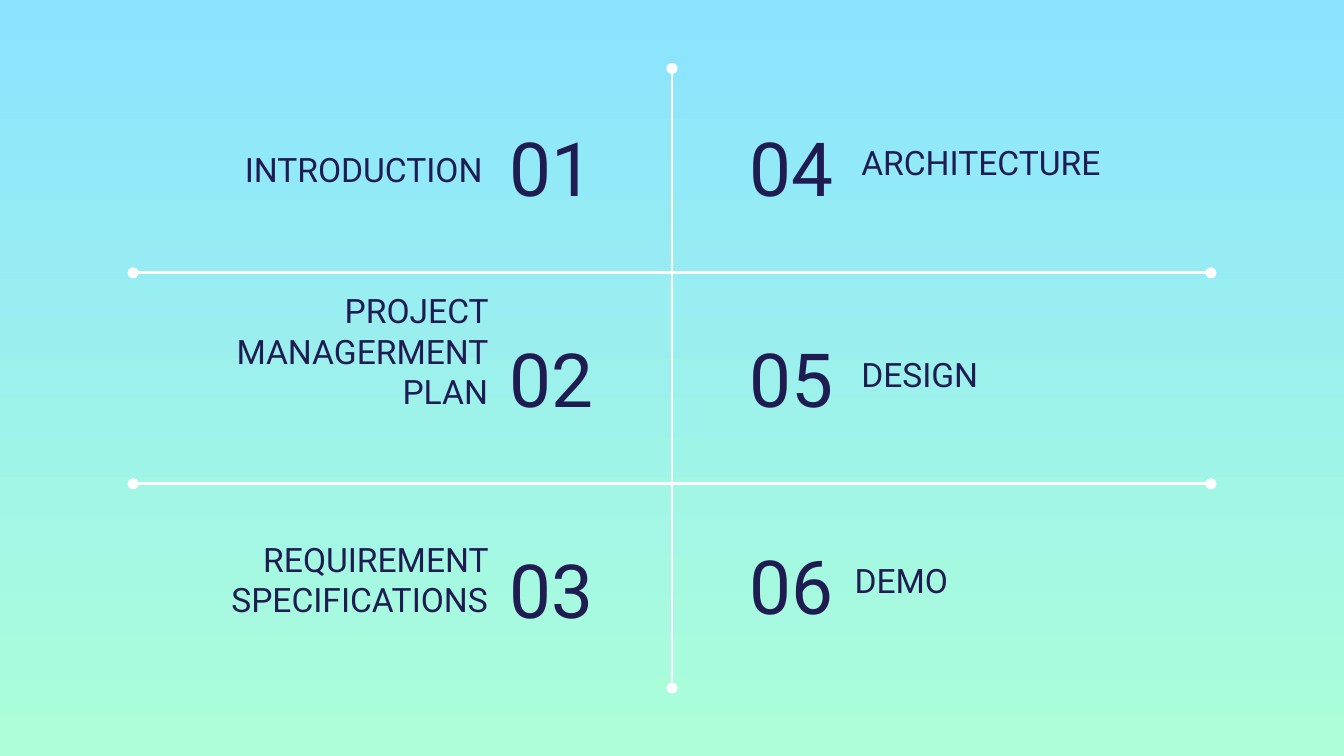
import pptx
import pptx.util
import pptx.dml.color
import pptx.enum.shapes
import pptx.enum.text
import pptx.oxml.ns
import lxml.etree
from dataclasses import dataclass
from typing import Any

Pt = pptx.util.Pt
Color = pptx.dml.color.RGBColor
Align = pptx.enum.text.PP_ALIGN
Anchor = pptx.enum.text.MSO_ANCHOR

NAVY = Color(0x1F, 0x1C, 0x51)
WHITE = Color(0xFF, 0xFF, 0xFF)
SKY = Color(0x8B, 0xE3, 0xFF)
MINT = Color(0xAC, 0xFF, 0xD9)

WIDTH, HEIGHT = 720, 405
MID = WIDTH / 2
TOP, PITCH = 58.3, 113  # first number's top, distance between rows
NUM_W, NUM_H = 93.6, 62
LABEL_H = 36
EDGE = 71.3  # side margin of the horizontal rules


@dataclass
class Topic:
    label: str
    left: float
    top: float
    width: float
    shift: float = 0  # vertical nudge of the number


TOPICS = [
    Topic("INTRODUCTION", 51.1, 72.7, 214.6),
    Topic("PROJECT MANAGERMENT PLAN", 71.3, 191.5, 197.3),
    Topic("REQUIREMENT SPECIFICATIONS", 34.6, 303.1, 234),
    Topic("ARCHITECTURE", 454.3, 69.1, 214.6),
    Topic("DESIGN", 454.3, 182.2, 214.6),
    Topic("DEMO", 450.7, 293, 214.6, -2.2),
]


def write(box: Any, text: str, size: float, align: Any, anchor: Any) -> None:
    frame = box.text_frame
    frame.auto_size = pptx.enum.text.MSO_AUTO_SIZE.NONE
    frame.word_wrap = True
    frame.vertical_anchor = anchor
    frame.margin_left = frame.margin_right = Pt(7.2)
    frame.margin_top = frame.margin_bottom = Pt(7.2)
    line = frame.paragraphs[0]
    line.text = text
    line.alignment = align
    line.font.size = Pt(size)
    line.font.name = "Roboto"
    line.font.color.rgb = NAVY


def draw_topic(slide: Any, index: int, topic: Topic) -> None:
    """Draw a number beside the centre line and its label further out."""
    side, row = divmod(index, 3)
    inner, outer = (Align.RIGHT, Align.LEFT) if side else (Align.LEFT, Align.RIGHT)
    place = [Pt(MID if side else MID - NUM_W - 0.7),
             Pt(TOP + row * PITCH + topic.shift), Pt(NUM_W), Pt(NUM_H)]
    if index == 0:
        num = slide.shapes.title
        num.left, num.top, num.width, num.height = place
    else:
        num = slide.shapes.add_textbox(*place)
    write(num, f"{index + 1:02}", 40, inner, Anchor.MIDDLE)
    label = slide.shapes.add_textbox(
        Pt(topic.left), Pt(topic.top), Pt(topic.width), Pt(LABEL_H))
    write(label, topic.label, 18, outer, Anchor.BOTTOM)


def draw_rule(slide: Any, x1: float, y1: float, x2: float, y2: float) -> None:
    """Draw a white line with a dot at each end."""
    rule = slide.shapes.add_connector(
        pptx.enum.shapes.MSO_CONNECTOR.STRAIGHT, Pt(x1), Pt(y1), Pt(x2), Pt(y2))
    rule.line.color.rgb = WHITE
    rule.line.width = Pt(1.5)
    qn = pptx.oxml.ns.qn
    ln = rule.line._get_or_add_ln()
    for end in ("a:headEnd", "a:tailEnd"):
        lxml.etree.SubElement(ln, qn(end), type="oval")
    lxml.etree.SubElement(ln.getparent(), qn("a:effectLst"))


def main() -> None:
    deck = pptx.Presentation()
    deck.slide_width, deck.slide_height = Pt(WIDTH), Pt(HEIGHT)
    slide = deck.slides.add_slide(deck.slide_layouts.get_by_name("Title Only"))
    fill = slide.background.fill
    fill.gradient()
    fill.gradient_angle = 270
    for stop, color, pos in zip(fill.gradient_stops, (SKY, MINT), (0, 1)):
        stop.color.rgb = color
        stop.position = pos

    draw_rule(slide, MID, 36.7, MID, 368.6)
    for row in range(2):
        y = 146.2 + row * PITCH
        draw_rule(slide, EDGE, y, WIDTH - EDGE, y)
    for index, topic in enumerate(TOPICS):
        draw_topic(slide, index, topic)
    deck.save("out.pptx")


if __name__ == "__main__":
    main()
